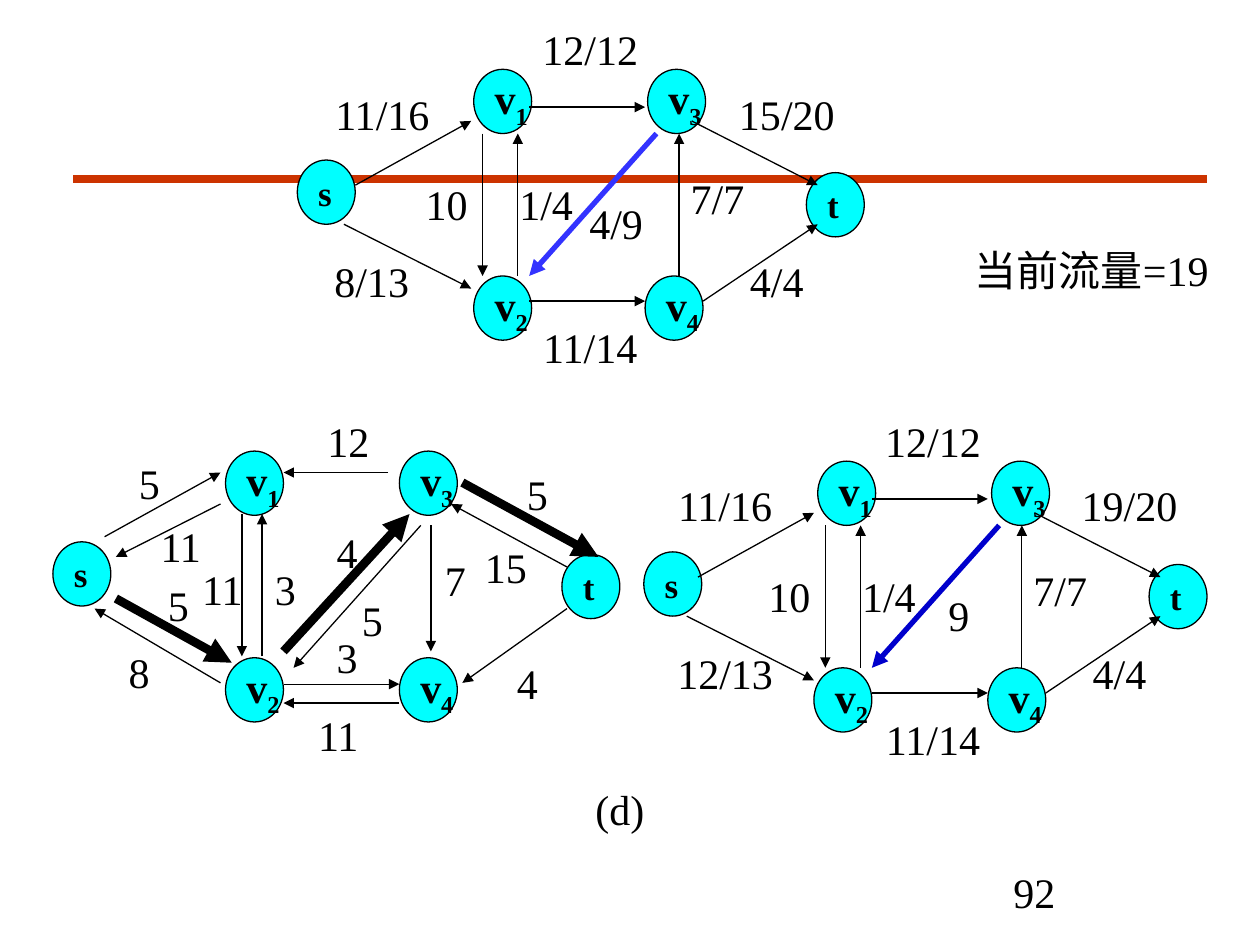
"""Build a slide of a flow network, its residual network and the augmented flow."""
from dataclasses import dataclass

from lxml import etree
from pptx import Presentation
from pptx.dml.color import RGBColor
from pptx.enum.shapes import MSO_CONNECTOR, MSO_SHAPE
from pptx.enum.text import MSO_ANCHOR, PP_ALIGN
from pptx.oxml.ns import qn
from pptx.util import Pt

STRAIGHT = MSO_CONNECTOR.STRAIGHT
OVAL = MSO_SHAPE.OVAL
MIDDLE = MSO_ANCHOR.MIDDLE
LEFT, CENTER = PP_ALIGN.LEFT, PP_ALIGN.CENTER
PX = 9144


@dataclass(frozen=True)
class Theme:
    font: str = "Times New Roman"
    ink: RGBColor = RGBColor(0x00, 0x00, 0x00)
    node: RGBColor = RGBColor(0x00, 0xFF, 0xFF)
    rule: RGBColor = RGBColor(0xCC, 0x33, 0x00)
    flow_before: RGBColor = RGBColor(0x33, 0x33, 0xFF)
    flow_after: RGBColor = RGBColor(0x00, 0x00, 0xCC)
    text_size: int = 24
    terminal_size: int = 20
    thin: float = 0.75
    medium: float = 3
    rule_width: float = 4.5
    thick: float = 5


theme = Theme()


def add_line(shapes, ends, color=theme.ink, width=theme.thin, arrow=True):
    line = shapes.add_connector(STRAIGHT, *[value * PX for value in ends])
    line.line.color.rgb = color
    line.line.width = Pt(width)
    if arrow:
        etree.SubElement(line.line._get_or_add_ln(), qn("a:tailEnd"), type="triangle")
    etree.SubElement(line._element.spPr, qn("a:effectLst"))


def add_label(shapes, x, y, text, width=None):
    slashes = text.count("/")
    fitted = width or round(20 + 16.67 * (len(text) - slashes) + 10 * slashes)
    box = shapes.add_textbox(x * PX, y * PX, fitted * PX, 50 * PX)
    box.text_frame.word_wrap = width is not None
    paragraph = box.text_frame.paragraphs[0]
    paragraph.text = text
    paragraph.alignment = CENTER
    paragraph.font.name = theme.font
    paragraph.font.size = Pt(theme.text_size)
    paragraph.font.color.rgb = theme.ink


FLOW_ARROWS = [
    (282, 147, 374, 96), (420, 85, 512, 85), (549, 96, 649, 147), (273, 178, 374, 229),
    (420, 239, 512, 239), (558, 239, 649, 178), (383, 106, 383, 219),
    (411, 219, 411, 106), (539, 219, 539, 106),
]
CANCELLED_ARROW = (521, 106, 420, 219)
FLOW_LABEL_SPOTS = [
    (255, 65), (255, 198), (420, 14), (328, 137), (402, 137), (576, 65),
    (585, 198), (538, 132), (420, 250),
]
flow_networks = [
    {
        "offset": (0, 0),
        "nodes": {"s": (236, 127), "v2": (376, 219), "v4": (512, 219),
                  "t": (640, 137), "v3": (514, 55), "v1": (376, 55)},
        "flows": ["11/16", "8/13", "12/12", "10", "1/4", "15/20", "4/4", "7/7", "11/14"],
        "cancelled": "4/9",
        "highlight": theme.flow_before,
    },
    {
        "offset": (272, 311),
        "nodes": {"s": (511, 438), "v2": (646, 530), "v4": (784, 530),
                  "t": (912, 448), "v3": (787, 366), "v1": (649, 366)},
        "flows": ["11/16", "12/13", "12/12", "10", "1/4", "19/20", "4/4", "7/7", "11/14"],
        "cancelled": "9",
        "highlight": theme.flow_after,
    },
]

residual_nodes = {"s": (42, 430), "v2": (179, 522), "v4": (317, 522),
                  "t": (446, 440), "v3": (317, 358), "v1": (179, 358)}
residual_arrows = [
    (83, 426, 175, 375), (225, 543, 317, 543), (192, 408, 192, 521),
    (208, 521, 208, 408), (334, 417, 233, 530), (175, 400, 92, 442),
    (308, 375, 225, 375), (317, 558, 225, 558), (342, 417, 342, 517),
    (450, 483, 367, 542), (450, 450, 358, 400), (175, 542, 75, 483),
]
augmenting_path = [(92, 475, 184, 526), (225, 517, 325, 408), (367, 383, 475, 442)]
residual_labels = [
    (277, 467, "5"), (100, 358, "5"), (92, 508, "8"), (150, 442, "11"),
    (208, 442, "3"), (400, 517, "4"), (343, 435, "7"), (242, 558, "11"),
    (117, 408, "11"), (250, 325, "12"), (257, 413, "4"), (257, 496, "3"),
    (408, 367, "5"), (375, 425, "15"), (123, 455, "5"),
]

networks = [(residual_nodes,
             [(ends, theme.ink, theme.thin) for ends in residual_arrows]
             + [(ends, theme.ink, theme.thick) for ends in augmenting_path],
             residual_labels)]
for network in flow_networks:
    dx, dy = network["offset"]
    styled = [(ends, theme.ink, theme.thin) for ends in FLOW_ARROWS]
    styled.append((CANCELLED_ARROW, network["highlight"], theme.medium))
    arrows = [((x1 + dx, y1 + dy, x2 + dx, y2 + dy), color, width)
              for (x1, y1, x2, y2), color, width in styled]
    labels = [(x + dx, y + dy, flow)
              for (x, y), flow in zip(FLOW_LABEL_SPOTS, network["flows"])]
    labels.append((457 + dx, 152 + dy, network["cancelled"], 64))
    networks.append((network["nodes"], arrows, labels))

prs = Presentation()
prs.slide_width, prs.slide_height = 1000 * PX, 750 * PX
slide = prs.slides.add_slide(prs.slide_layouts[6])
add_line(slide.shapes, (58, 142, 958, 142), theme.rule, theme.rule_width, arrow=False)

for nodes, arrows, labels in networks:
    group = slide.shapes.add_group_shape().shapes
    for name, (x, y) in nodes.items():
        node = group.add_shape(OVAL, x * PX, y * PX, 46 * PX, 51 * PX)
        node.shadow.inherit = False
        node.fill.solid()
        node.fill.fore_color.rgb = theme.node
        node.line.color.rgb = theme.ink
        node.line.width = Pt(theme.thin)
        node.text_frame.word_wrap = False
        node.text_frame.vertical_anchor = MIDDLE
        paragraph = node.text_frame.paragraphs[0]
        paragraph.alignment = LEFT
        paragraph.font.name = theme.font
        paragraph.font.bold = True
        paragraph.font.size = Pt(theme.text_size if name[1:] else theme.terminal_size)
        paragraph.font.color.rgb = theme.ink
        paragraph.add_run().text = name[0]
        if name[1:]:
            subscript = paragraph.add_run()
            subscript.text = name[1:]
            subscript._r.get_or_add_rPr().set("baseline", "-25000")
    for ends, color, width in arrows:
        add_line(group, ends, color, width)
    for label in labels:
        add_label(group, *label)

add_label(slide.shapes, 457, 617, "(d)", 70)
add_label(slide.shapes, 752, 189, "当前流量=19", 229)
add_label(slide.shapes, 717, 683, "92", 208)

prs.save("out.pptx")
